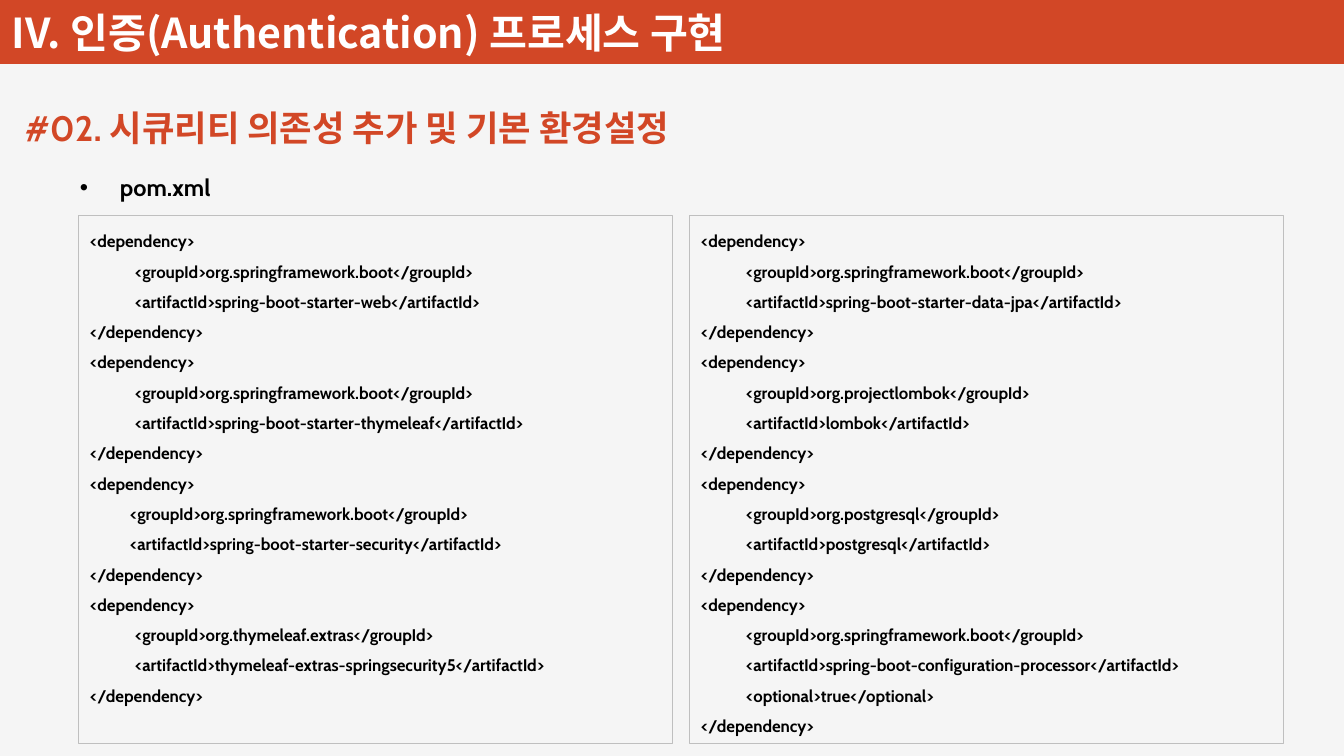
from lxml import etree
from pptx import Presentation
from pptx import util as u
from pptx.dml.color import RGBColor
from pptx.enum import shapes, text
from pptx.oxml.ns import qn

ORANGE = RGBColor(0xD2, 0x47, 0x26)
PAPER = RGBColor(0xF5, 0xF5, 0xF5)
GREY = RGBColor(0xBF, 0xBF, 0xBF)
WHITE = RGBColor(0xFF, 0xFF, 0xFF)
BLACK = RGBColor(0, 0, 0)
LATIN, HANGUL = "Cabin", "Noto Sans CJK KR"

TITLE = "IV. 인증(Authentication) 프로세스 구현"
HEADING = "#02. 시큐리티 의존성 추가 및 기본 환경설정"
FILE_NAME = "pom.xml"
BOOT = "org.springframework.boot"
TAB, LEVEL = 45, 40
PANELS = [
    [
        (TAB, {"groupId": BOOT, "artifactId": "spring-boot-starter-web"}),
        (TAB, {"groupId": BOOT, "artifactId": "spring-boot-starter-thymeleaf"}),
        (LEVEL, {"groupId": BOOT, "artifactId": "spring-boot-starter-security"}),
        (TAB, {"groupId": "org.thymeleaf.extras",
               "artifactId": "thymeleaf-extras-springsecurity5"}),
    ],
    [
        (TAB, {"groupId": BOOT, "artifactId": "spring-boot-starter-data-jpa"}),
        (TAB, {"groupId": "org.projectlombok", "artifactId": "lombok"}),
        (TAB, {"groupId": "org.postgresql", "artifactId": "postgresql"}),
        (TAB, {"groupId": BOOT, "artifactId": "spring-boot-configuration-processor",
               "optional": "true"}),
    ],
]
WIDTH, HEIGHT = 1344, 756
PANEL_X, PANEL_Y, PANEL_W, PANEL_H, GAP = 78, 215, 594, 528, 17


def px(n):
    return u.Emu(round(n * 914400 / 121))


def add_rect(s, box, fill=None, line=None):
    sp = s.shapes.add_shape(shapes.MSO_SHAPE.RECTANGLE, *map(px, box))
    sp.shadow.inherit = False
    if fill is None:
        sp.fill.background()
    else:
        sp.fill.solid()
        sp.fill.fore_color.rgb = fill
    if line is None:
        sp.line.fill.background()
    else:
        sp.line.color.rgb = line
        sp.line.width = u.Pt(0.25)
    return sp


def write(sp, lines, size, color, font=LATIN, spacing=1.0, **frame):
    tf = sp.text_frame
    frame = {"word_wrap": True, "vertical_anchor": text.MSO_ANCHOR.TOP, **frame}
    for name, value in frame.items():
        setattr(tf, name, value)
    for i, (indent, line) in enumerate(lines):
        p = tf.add_paragraph() if i else tf.paragraphs[0]
        p.alignment = text.PP_ALIGN.LEFT
        p.line_spacing = spacing
        p._p.get_or_add_pPr().set("marL", str(px(indent)))
        r = p.add_run()
        r.text = line
        for name, value in {"name": font, "size": u.Pt(size), "bold": True}.items():
            setattr(r.font, name, value)
        r.font.color.rgb = color
        ea = etree.SubElement(r._r.get_or_add_rPr(), qn("a:ea"))
        ea.set("typeface", HANGUL)
    return tf


def add_text(s, box, *args, **kwargs):
    return write(s.shapes.add_textbox(*map(px, box)), *args, **kwargs)


def dependency_lines(dependencies):
    for indent, tags in dependencies:
        yield 0, "<dependency>"
        for tag, value in tags.items():
            yield indent, f"<{tag}>{value}</{tag}>"
        yield 0, "</dependency>"


def main():
    prs = Presentation()
    prs.slide_width, prs.slide_height = px(WIDTH), px(HEIGHT)
    s = prs.slides.add_slide(prs.slide_layouts[6])

    add_rect(s, (0, 0, WIDTH, HEIGHT), PAPER)
    add_rect(s, (0, 0, WIDTH, 64), ORANGE)
    add_text(s, (1, -12, 813, 74), [(0, TITLE)], 24.5, WHITE, HANGUL,
             vertical_anchor=text.MSO_ANCHOR.BOTTOM,
             margin_left=px(11), margin_right=px(11),
             margin_top=px(5), margin_bottom=px(5))
    add_text(s, (13, 100, 725, 54), [(0, HEADING)], 21, ORANGE)

    tf = add_text(s, (68, 167, 163, 41), [(LEVEL, FILE_NAME)], 14, BLACK)
    pPr = tf.paragraphs[0]._p.get_or_add_pPr()
    pPr.set("indent", str(-px(LEVEL)))
    etree.SubElement(pPr, qn("a:buFont")).set("typeface", "Arial")
    etree.SubElement(pPr, qn("a:buChar")).set("char", "•")

    for i, dependencies in enumerate(PANELS):
        x = PANEL_X + i * (PANEL_W + GAP)
        sp = add_rect(s, (x, PANEL_Y, PANEL_W, PANEL_H), line=GREY)
        write(sp, dependency_lines(dependencies), 10, BLACK, spacing=1.5)

    prs.save("out.pptx")


if __name__ == "__main__":
    main()
